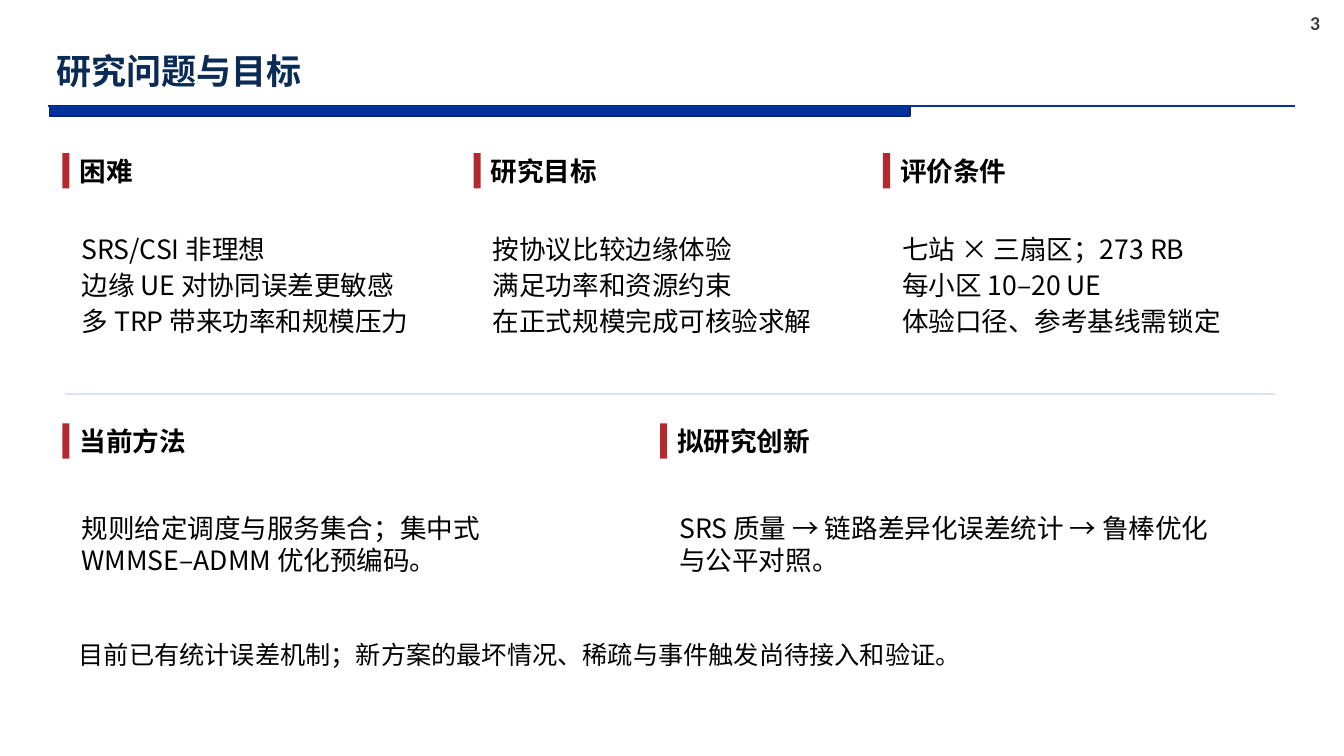
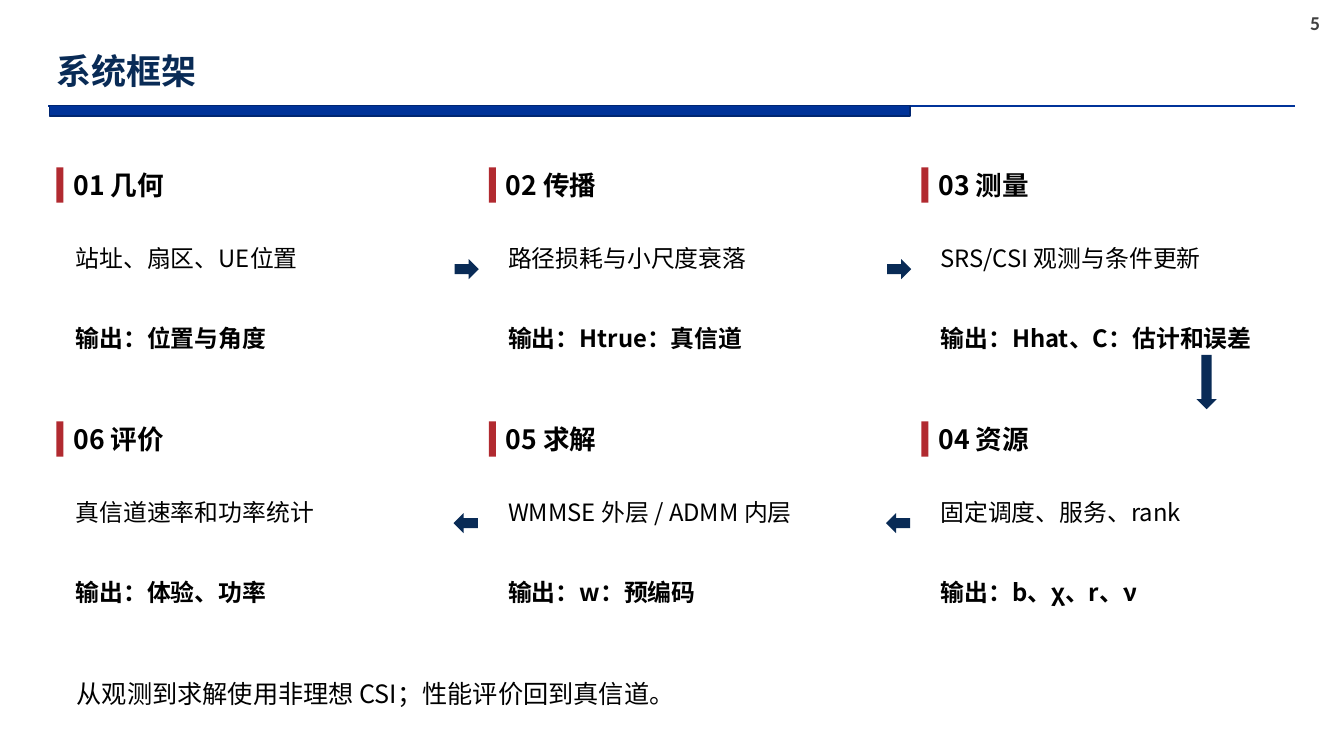
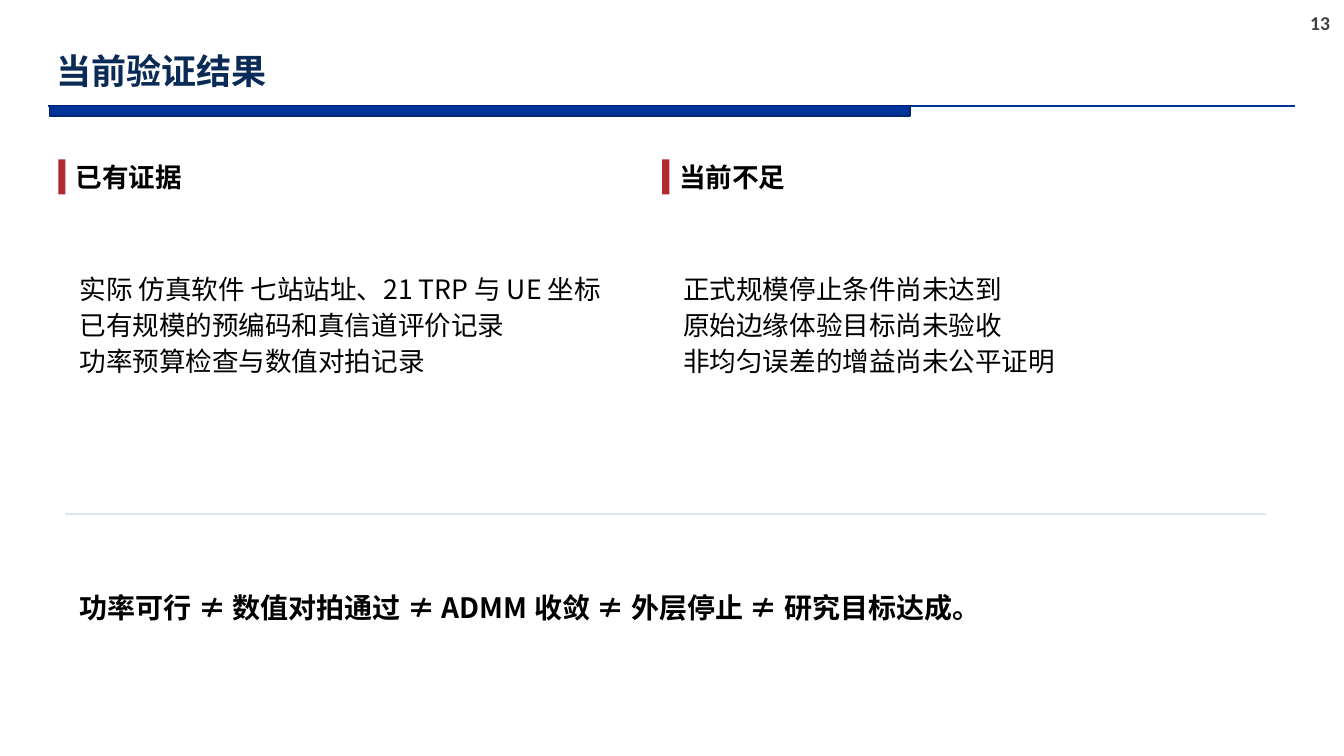
from pptx import Presentation
from pptx.dml.color import RGBColor
from pptx.enum.shapes import MSO_CONNECTOR, MSO_SHAPE
from pptx.enum.text import MSO_ANCHOR
from pptx.oxml.ns import qn
from pptx.util import Inches, Pt
from lxml.etree import SubElement

COLORS = {"title": "092B56", "band": "003399", "band_edge": "002671", "accent": "B12A30",
          "rule": "D9E6F1", "text": "000000", "number": "404040"}
CJK, LATIN = "Noto Sans CJK SC", "Calibri"
COLS, ROWS = 160, 90


class Deck:
    """Research slides laid out on a grid of 160 columns and 90 rows."""

    def __init__(self):
        self.prs = Presentation()
        self.prs.slide_width, self.prs.slide_height = Inches(13.33), Inches(7.5)
        self.s = None

    def x(self, cols):
        return round(self.prs.slide_width * cols / COLS)

    def y(self, rows):
        return round(self.prs.slide_height * rows / ROWS)

    def box(self, left, top, width, height):
        return self.x(left), self.y(top), self.x(width), self.y(height)

    def color(self, name):
        return RGBColor.from_string(COLORS[name])

    def slide(self, title, number):
        self.s = self.prs.slides.add_slide(self.prs.slide_layouts[6])
        self.line(5.76, 154.2, 12.6, "band", 1.5)
        self.shape(MSO_SHAPE.RECTANGLE, 5.88, 12.6, 102.48, 1.2, "band", "band_edge")
        self.text([number], 154.8, 0.72, 5, 4.08, size=14, bold=True, color="number",
                  font=LATIN, anchor=MSO_ANCHOR.TOP, inset=(0.1, 0.05), after=0)
        self.text([title], 5.52, 4.8, 113.4, 7.8, size=25, bold=True, color="title",
                  inset=(0.1, 0.05), after=0, spacing=0.9)

    def line(self, start, end, row, color, width):
        c = self.s.shapes.add_connector(MSO_CONNECTOR.STRAIGHT, self.x(start), self.y(row),
                                        self.x(end), self.y(row))
        c.line.color.rgb = self.color(color)
        c.line.width = Pt(width)
        SubElement(c._element.spPr, qn("a:effectLst"))

    def shape(self, kind, left, top, width, height, fill, edge=None):
        sp = self.s.shapes.add_shape(kind, *self.box(left, top, width, height))
        sp.shadow.inherit = False
        sp.fill.solid()
        sp.fill.fore_color.rgb = self.color(fill)
        if edge:
            sp.line.color.rgb = self.color(edge)
            sp.line.width = Pt(1)
        else:
            sp.line.fill.background()

    def text(self, lines, left, top, width, height, size=19, bold=False, color="text",
             font=CJK, anchor=MSO_ANCHOR.MIDDLE, inset=(0.01, 0.01), after=3, spacing=None):
        tf = self.s.shapes.add_textbox(*self.box(left, top, width, height)).text_frame
        tf.word_wrap = True
        tf.vertical_anchor = anchor
        tf.margin_left = tf.margin_right = Inches(inset[0])
        tf.margin_top = tf.margin_bottom = Inches(inset[1])
        tf.text = "\n".join(lines)
        for p in tf.paragraphs:
            p.space_after = Pt(after)
            p.line_spacing = spacing
            for r in p.runs:
                r.font.size, r.font.bold, r.font.name = Pt(size), bold, font
                r.font.color.rgb = self.color(color)
                SubElement(r.font._element, qn("a:ea")).set("typeface", font)

    def heading(self, title, left, top, width):
        self.shape(MSO_SHAPE.RECTANGLE, left, top, 0.84, 4.2, "accent")
        self.text([title], left + 1.92, top - 0.6, width, 5.4, bold=True)

    def section(self, title, lines, left, top, width, height, gap=6.36, indent=2.16, size=19):
        self.heading(title, left, top, width)
        self.text(lines, left + indent, top + gap, width, height, size=size)


def goals(deck):
    deck.slide("研究问题与目标", "3")
    topics = [
        (7.44, "困难", ["SRS/CSI 非理想", "边缘 UE 对协同误差更敏感", "多 TRP 带来功率和规模压力"]),
        (56.4, "研究目标", ["按协议比较边缘体验", "满足功率和资源约束", "在正式规模完成可核验求解"]),
        (105.12, "评价条件", ["七站 × 三扇区；273 RB", "每小区 10–20 UE", "体验口径、参考基线需锁定"]),
    ]
    for left, title, lines in topics:
        deck.section(title, lines, left, 18.24, 42.6, 18.6)
    deck.line(7.8, 151.8, 46.92, "rule", 1.2)
    methods = [
        (7.44, 60.6, "当前方法", "规则给定调度与服务集合；集中式 WMMSE–ADMM 优化预编码。"),
        (78.6, 66, "拟研究创新", "SRS 质量 → 链路差异化误差统计 → 鲁棒优化与公平对照。"),
    ]
    for left, width, title, line in methods:
        deck.section(title, [line], left, 50.4, width, 15, gap=6.84)
    deck.text(["目前已有统计误差机制；新方案的最坏情况、稀疏与事件触发尚待接入和验证。"],
              9.24, 75, 140.4, 5.76, size=18)


def framework(deck):
    deck.slide("系统框架", "5")
    rows = [
        (MSO_SHAPE.RIGHT_ARROW, [("01 几何", "站址、扇区、UE位置", "位置与角度"),
                                 ("02 传播", "路径损耗与小尺度衰落", "Htrue：真信道"),
                                 ("03 测量", "SRS/CSI 观测与条件更新", "Hhat、C：估计和误差")]),
        (MSO_SHAPE.LEFT_ARROW, [("06 评价", "真信道速率和功率统计", "体验、功率"),
                                ("05 求解", "WMMSE 外层 / ADMM 内层", "w：预编码"),
                                ("04 资源", "固定调度、服务、rank", "b、χ、r、ν")]),
    ]
    for row, (arrow, steps) in enumerate(rows):
        top = 19.92 + 30.24 * row
        for col, (title, line, output) in enumerate(steps):
            left = 6.72 + 51.48 * col
            deck.section(title, [line], left, top, 43.44, 8.88, size=17)
            deck.text(["输出：" + output], left + 2.16, top + 16.56, 43.44, 7.56,
                      size=17, bold=True)
            if col < len(steps) - 1:
                deck.shape(arrow, left + 47.4 - 0.12 * row, top + 10.92, 2.88, 2.4, "title")
    deck.shape(MSO_SHAPE.DOWN_ARROW, 142.44, 42.24, 2.4, 6.48, "title")
    deck.text(["从观测到求解使用非理想 CSI；性能评价回到真信道。"],
              9, 80.52, 140.4, 3.96, size=18)


def results(deck):
    deck.slide("当前验证结果", "13")
    findings = [
        ("已有证据", ["实际 仿真软件 七站站址、21 TRP 与 UE 坐标", "已有规模的预编码和真信道评价记录",
                  "功率预算检查与数值对拍记录"]),
        ("当前不足", ["正式规模停止条件尚未达到", "原始边缘体验目标尚未验收", "非均匀误差的增益尚未公平证明"]),
    ]
    for col, (title, lines) in enumerate(findings):
        deck.section(title, lines, 6.96 + 71.88 * col, 18.96, 64.08, 27, gap=6.24, indent=2.4)
    deck.line(7.8, 150.72, 61.2, "rule", 1.2)
    deck.text(["功率可行 ≠ 数值对拍通过 ≠ ADMM 收敛 ≠ 外层停止 ≠ 研究目标达成。"],
              9.36, 65.16, 137.16, 14.16, size=20, bold=True)


def main():
    deck = Deck()
    for build in (goals, framework, results):
        build(deck)
    deck.prs.save("out.pptx")


if __name__ == "__main__":
    main()
